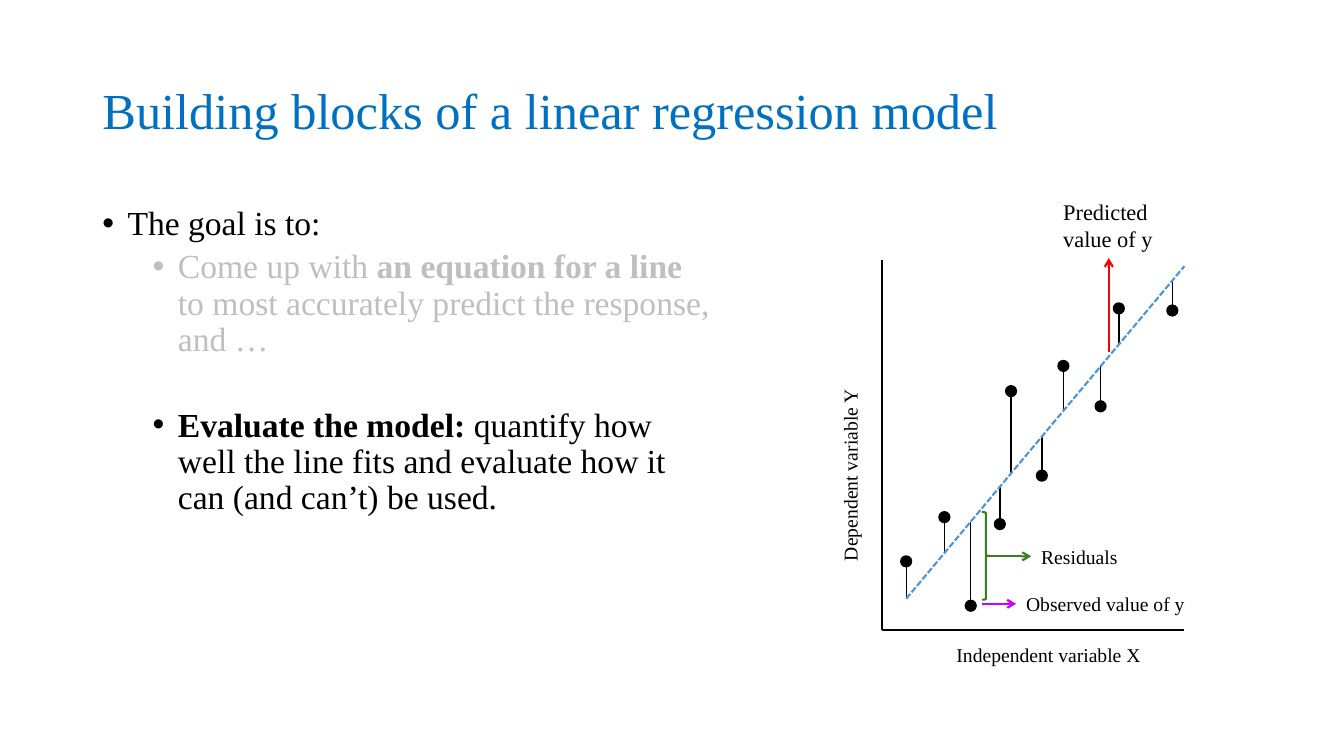
import pptx
import pptx.util
import pptx.dml.color
import pptx.enum.dml
import pptx.enum.shapes
import pptx.enum.text
import pptx.oxml.ns
from lxml import etree

Pt = pptx.util.Pt
qn = pptx.oxml.ns.qn
SHAPES = pptx.enum.shapes.MSO_SHAPE
COLORS = {
    "title": "0070C0", "ink": "000000", "muted": "BFBFBF", "fit": "4E95D9",
    "observed": "CC00FF", "predicted": "FF0000", "residual": "3B7D23",
}


def write(paragraph, text, size, color, bold=False):
    run = paragraph.add_run()
    run.text = text
    font_format = {"name": "Times New Roman", "size": Pt(size), "bold": bold}
    for attribute, value in font_format.items():
        setattr(run.font, attribute, value)
    run.font.color.rgb = pptx.dml.color.RGBColor.from_string(COLORS[color])


def draw_line(start, end, color, width=1.5, dashed=False, arrow=False):
    line = slide.shapes.add_connector(
        pptx.enum.shapes.MSO_CONNECTOR.STRAIGHT, *[Pt(v) for v in (*start, *end)])
    line.line.color.rgb = pptx.dml.color.RGBColor.from_string(COLORS[color])
    line.line.width = Pt(width)
    if dashed:
        line.line.dash_style = pptx.enum.dml.MSO_LINE.SQUARE_DOT
    properties = line._element.spPr
    if arrow:
        etree.SubElement(properties.find(qn("a:ln")), qn("a:tailEnd"), type="arrow")
    etree.SubElement(properties, qn("a:effectLst"))


deck = pptx.Presentation()
deck.slide_width, deck.slide_height = Pt(960), Pt(540)
slide = deck.slides.add_slide(deck.slide_layouts[5])

title = slide.shapes.title
title_place = {"left": 66, "top": 28.8, "width": 828, "height": 104.4}
for attribute, value in title_place.items():
    setattr(title, attribute, Pt(value))
title_frame_format = {
    "vertical_anchor": pptx.enum.text.MSO_ANCHOR.MIDDLE,
    "auto_size": pptx.enum.text.MSO_AUTO_SIZE.NONE,
    "word_wrap": True,
}
for attribute, value in title_frame_format.items():
    setattr(title.text_frame, attribute, value)
heading = title.text_frame.paragraphs[0]
heading_format = {"alignment": pptx.enum.text.PP_ALIGN.LEFT, "line_spacing": 0.9}
for attribute, value in heading_format.items():
    setattr(heading, attribute, value)
write(heading, "Building blocks of a linear regression model", 36, "title")

goals = slide.shapes.add_textbox(Pt(66), Pt(144), Pt(450), Pt(342.72)).text_frame
goals.word_wrap = True
goal_items = [
    (0, 18, 10, "ink", [("The goal is to:", False)]),
    (1, 54, 5, "muted", [
        ("Come up with ", False),
        ("an equation for a line ", True),
        ("to most accurately predict the response, and …", False)]),
    (1, 54, 35.5, "ink", [
        ("Evaluate the model: ", True),
        ("quantify how well the line fits and evaluate how it can (and can’t) be used.",
         False)]),
]
for index, (level, margin, space, color, pieces) in enumerate(goal_items):
    goal = goals.add_paragraph() if index else goals.paragraphs[0]
    goal_format = {"level": level, "line_spacing": 0.9, "space_before": Pt(space)}
    for attribute, value in goal_format.items():
        setattr(goal, attribute, value)
    properties = goal._p.get_or_add_pPr()
    properties.set("marL", str(Pt(margin)))
    properties.set("indent", str(-Pt(18)))
    etree.SubElement(properties, qn("a:buFont"), typeface="Arial")
    etree.SubElement(properties, qn("a:buChar"), char="•")
    for text, bold in pieces:
        write(goal, text, 24, color, bold)

origin = (630, 450)
draw_line((630, 185.8), origin, "ink")
draw_line(origin, (846, 450), "ink")

fit_start, fit_end = (647.3, 427.7), (846, 190.1)
slope = (fit_end[1] - fit_start[1]) / (fit_end[0] - fit_start[0])
observations = [
    (647.3, 401), (674.6, 369.4), (693.4, 432.7), (714.2, 374.4), (722.2, 279.4),
    (744.2, 339.8), (759.6, 261.4), (786.2, 290.2), (799.2, 220.3), (837.4, 221.8),
]
dot = 7.2
ink = pptx.dml.color.RGBColor.from_string(COLORS["ink"])
for x, y in observations:
    point = slide.shapes.add_shape(
        SHAPES.OVAL, Pt(x - dot / 2), Pt(y - dot / 2), Pt(dot), Pt(dot))
    point.shadow.inherit = False
    point.fill.solid()
    point.fill.fore_color.rgb = ink
    point.line.color.rgb = ink
    point.line.width = Pt(1.5)
    predicted = fit_start[1] + slope * (x - fit_start[0])
    draw_line((x, y), (x, predicted), "ink", width=1)
draw_line(fit_start, fit_end, "fit", dashed=True)

brace = slide.shapes.add_shape(
    SHAPES.RIGHT_BRACE, Pt(701.3), Pt(365.8), Pt(5.8), Pt(62.6))
brace.shadow.inherit = False
brace.fill.background()
brace.line.color.rgb = pptx.dml.color.RGBColor.from_string(COLORS["residual"])
brace.line.width = Pt(1.5)

draw_line((701.3, 431.3), (725.8, 431.3), "observed", arrow=True)
draw_line((792, 251.3), (792, 184.3), "predicted", arrow=True)
draw_line((707, 397.4), (736.6, 397.4), "residual", arrow=True)

labels = [
    ("Observed value of y", 725.8, 419, 137.5, 24.5, 14, 0),
    ("Predicted\nvalue of y", 752.4, 138.2, 80, 46, 16, 0),
    ("Residuals", 736.6, 385.9, 137.5, 24.5, 14, 0),
    ("Independent variable X", 676.1, 455.8, 162, 24.5, 14, 0),
    ("Dependent variable Y", 526.3, 314.6, 162, 24.5, 14, 270),
]
for text, left, top, width, height, size, rotation in labels:
    label = slide.shapes.add_textbox(Pt(left), Pt(top), Pt(width), Pt(height))
    label.rotation = rotation
    label.text_frame.word_wrap = True
    for index, row in enumerate(text.split("\n")):
        paragraph = (label.text_frame.add_paragraph() if index
                     else label.text_frame.paragraphs[0])
        write(paragraph, row, size, "ink")

deck.save("out.pptx")
